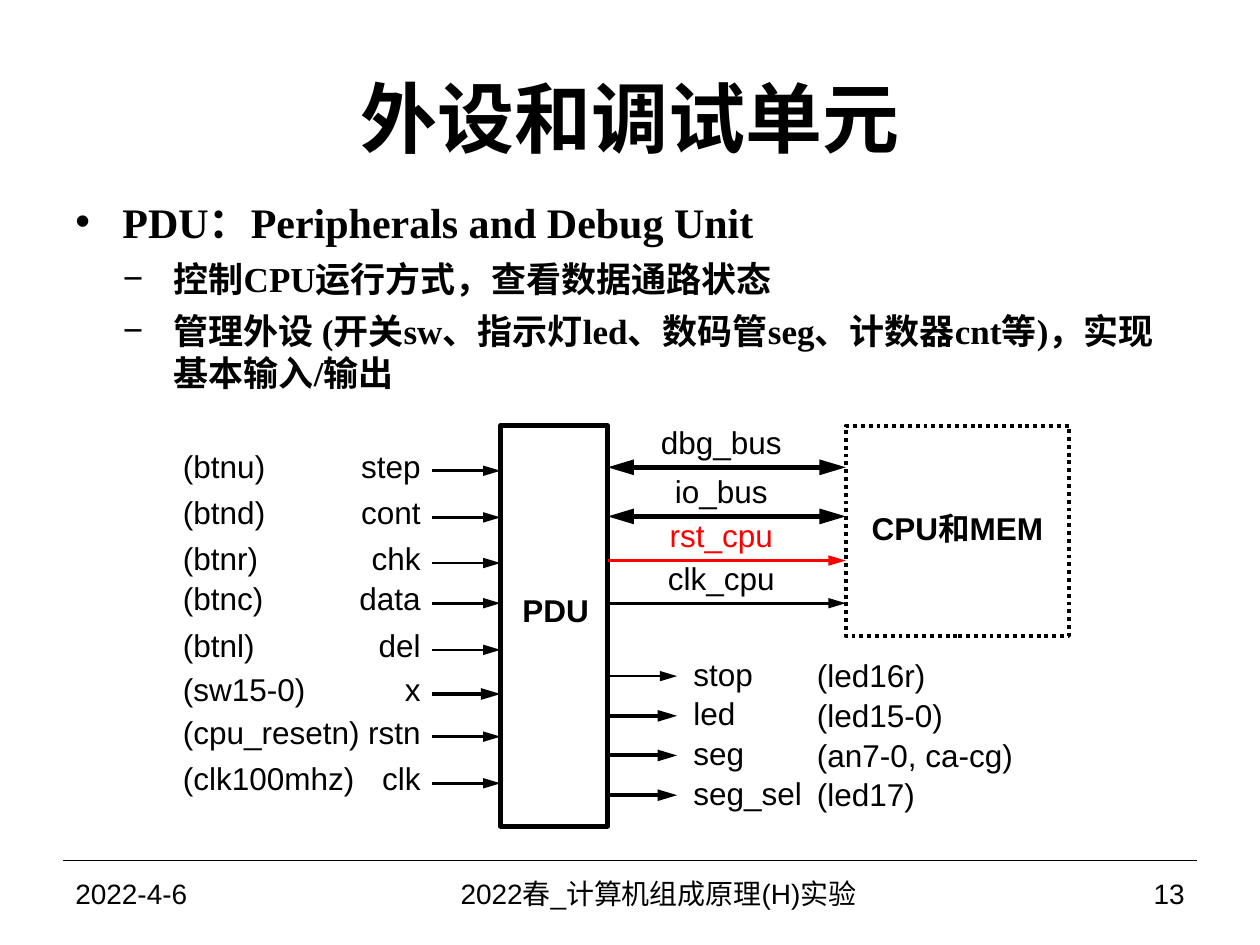
from lxml.etree import SubElement
from pptx import Presentation
from pptx.dml.color import RGBColor
from pptx.enum.dml import MSO_LINE
from pptx.enum.shapes import MSO_CONNECTOR, MSO_SHAPE
from pptx.enum.text import MSO_ANCHOR, PP_ALIGN
from pptx.oxml.ns import qn
from pptx.util import Cm, Pt

COLORS = {"ink": "000000", "reset": "FF0000"}
LABEL_HEIGHT = 0.76
PDU_WIDTH = 2.16

# Input ports: pin, pin width, signal, signal width, arrow height, line width
INPUTS = [
    ("(btnu)", 1.68, "step", 1.22, 0.91, 1.5),
    ("(btnd)", 1.68, "cont", 1.22, 1.85, 1.5),
    ("(btnr)", 1.52, "chk", 0.99, 2.77, 1.5),
    ("(btnc)", 1.63, "data", 1.24, 3.58, 1.5),
    ("(btnl)", 1.45, "del", 0.86, 4.52, 1.5),
    ("(sw15-0)", 2.57, "x", 0.33, 5.41, 2.25),
    ("(cpu_resetn)", 3.61, "rstn", 1.07, 6.27, 1.5),
    ("(clk100mhz)", 3.51, "clk", 0.79, 7.21, 1.5),
]
# Output ports: signal, signal width, pin, pin width, line width
OUTPUTS = [
    ("stop", 1.22, "(led16r)", 2.3, 1.5),
    ("led", 0.86, "(led15-0)", 2.7, 2.25),
    ("seg", 1.04, "(an7-0, ca-cg)", 4.2, 2.25),
    ("seg_sel", 2.21, "(led17)", 2.1, 2.25),
]
# Buses: name, label width, arrow height, line width, both ways, colour
BUSES = [
    ("dbg_bus", 2.46, 0.84, 3, True, "ink"),
    ("io_bus", 1.88, 1.83, 3, True, "ink"),
    ("rst_cpu", 2.11, 2.72, 1.5, False, "reset"),
    ("clk_cpu", 2.18, 3.58, 1.5, False, "ink"),
]


def rgb(color):
    return RGBColor.from_string(COLORS[color])


def format_runs(paragraph, size, bold=False, font="Arial", color="ink"):
    for run in paragraph.runs:
        run.font.name = font
        run.font.size = Pt(size)
        run.font.bold = bold
        run.font.color.rgb = rgb(color)


def clear_insets(text_frame):
    text_frame.margin_left = text_frame.margin_right = 0
    text_frame.margin_top = text_frame.margin_bottom = 0


def add_text(slide, text, left, top, width, height, size,
             align=PP_ALIGN.LEFT, bold=False, color="ink"):
    shape = slide.shapes.add_textbox(Cm(left), Cm(top), Cm(width), Cm(height))
    text_frame = shape.text_frame
    text_frame.text = text
    text_frame.word_wrap = True
    text_frame.vertical_anchor = MSO_ANCHOR.MIDDLE
    paragraph = text_frame.paragraphs[0]
    paragraph.alignment = align
    format_runs(paragraph, size, bold, color=color)
    return shape


def add_label(slide, text, left, middle, width, align=PP_ALIGN.LEFT,
              bold=False, color="ink"):
    shape = add_text(slide, text, left, middle - LABEL_HEIGHT / 2, width,
                     LABEL_HEIGHT, 18, align, bold, color)
    shape.text_frame.word_wrap = False
    clear_insets(shape.text_frame)


def add_line(slide, start, end, top, width, color="ink", ends=()):
    line = slide.shapes.add_connector(
        MSO_CONNECTOR.STRAIGHT, Cm(start), Cm(top), Cm(end), Cm(top))
    line.line.color.rgb = rgb(color)
    line.line.width = Pt(width)
    outline = line.line._get_or_add_ln()
    for end_name in ends:
        SubElement(outline, qn(f"a:{end_name}"), type="triangle", w="med", len="lg")
    SubElement(line._element.spPr, qn("a:effectLst"))


def add_block(slide, left, top, width, height, line_width):
    block = slide.shapes.add_shape(
        MSO_SHAPE.RECTANGLE, Cm(left), Cm(top), Cm(width), Cm(height))
    block.shadow.inherit = False
    block.fill.background()
    block.line.color.rgb = rgb("ink")
    block.line.width = Pt(line_width)
    return block


def add_title(slide, left, top, width, height):
    add_text(slide, "外设和调试单元", left, top, width, height, 44,
             PP_ALIGN.CENTER, True)


def add_body(slide, left, top, width, height):
    # Text, level, size, left margin, hanging indent, bullet
    items = [
        ("PDU：Peripherals and Debug Unit", 0, 24, 0.95, 0.95, "•"),
        ("控制CPU运行方式，查看数据通路状态", 1, 20, 1.98, 1.02, "−"),
        ("管理外设 (开关sw、指示灯led、数码管seg、计数器cnt等)，实现基本输入/输出",
         1, 20, 1.98, 1.02, "−"),
    ]
    shape = slide.shapes.add_textbox(Cm(left), Cm(top), Cm(width), Cm(height))
    text_frame = shape.text_frame
    text_frame.word_wrap = True
    text_frame.text = "\n".join(item[0] for item in items)
    for paragraph, item in zip(text_frame.paragraphs, items):
        _, level, size, margin, hanging, bullet = item
        paragraph.level = level
        paragraph.space_before = Pt(6)
        properties = paragraph._p.get_or_add_pPr()
        properties.set("marL", str(Cm(margin)))
        properties.set("indent", str(-Cm(hanging)))
        SubElement(properties, qn("a:buFont"), typeface="Arial")
        SubElement(properties, qn("a:buChar"), char=bullet)
        format_runs(paragraph, size, True, "Times New Roman")


def add_inputs(slide, left, top, width):
    arrow_start = left + width - 1.39
    for pin, pin_width, signal, signal_width, offset, line_width in INPUTS:
        middle = top + offset
        add_label(slide, pin, left, middle - 0.1, pin_width)
        add_label(slide, signal, arrow_start - 0.22 - signal_width,
                  middle - 0.1, signal_width, PP_ALIGN.RIGHT)
        add_line(slide, arrow_start, left + width, middle, line_width,
                 ends=["tailEnd"])


def add_pdu(slide, left, top, width, height):
    add_block(slide, left, top, width, height, 2.5)
    add_label(slide, "PDU", left + 0.43, top + 3.71, 1.36, PP_ALIGN.CENTER, True)


def add_buses(slide, left, top, width):
    for name, label_width, offset, line_width, both_ways, color in BUSES:
        middle = top + offset
        add_label(slide, name, left + 2.29 - label_width / 2, middle - 0.51,
                  label_width, PP_ALIGN.CENTER, color=color)
        ends = ["headEnd", "tailEnd"] if both_ways else ["tailEnd"]
        add_line(slide, left, left + width, middle, line_width, color, ends)


def add_cpu(slide, left, top, width, height):
    block = add_block(slide, left, top, width, height, 2.25)
    block.line.dash_style = MSO_LINE.ROUND_DOT
    text_frame = block.text_frame
    text_frame.text = "CPU和MEM"
    text_frame.word_wrap = False
    text_frame.vertical_anchor = MSO_ANCHOR.MIDDLE
    clear_insets(text_frame)
    paragraph = text_frame.paragraphs[0]
    paragraph.alignment = PP_ALIGN.CENTER
    paragraph.line_spacing = Pt(18)
    format_runs(paragraph, 18, True)


def add_outputs(slide, left, top, pitch):
    for row, (signal, signal_width, pin, pin_width, line_width) in enumerate(OUTPUTS):
        middle = top + row * pitch
        add_line(slide, left, left + 1.4, middle, line_width, ends=["tailEnd"])
        add_label(slide, signal, left + 1.73, middle - 0.05, signal_width)
        add_label(slide, pin, left + 4.22, middle - 0.02, pin_width)


def add_footer(slide, left, top, width, height):
    add_line(slide, left, left + width, top, 0.75)
    add_text(slide, "2022-4-6", left, top, 5.92, height, 16)
    add_text(slide, "2022春_计算机组成原理(H)实验", left + 5.87, top, 12.27,
             height, 16, PP_ALIGN.CENTER)
    add_text(slide, "13", left + width - 4.65, top, 4.65, height, 16, PP_ALIGN.RIGHT)


def main():
    presentation = Presentation()
    presentation.slide_width, presentation.slide_height = Cm(25.4), Cm(19.05)
    slide = presentation.slides.add_slide(presentation.slide_layouts[6])

    add_title(slide, 1.27, 0.76, 22.86, 3.18)
    add_body(slide, 1.27, 3.83, 22.63, 4.52)

    # Block diagram: everything hangs from one top edge
    top, pdu_left, cpu_left = 8.58, 10.09, 17.05
    input_left = 3.69
    pdu_right = pdu_left + PDU_WIDTH
    add_inputs(slide, input_left, top, pdu_left - input_left)
    add_pdu(slide, pdu_left, top, PDU_WIDTH, 8.08)
    add_buses(slide, pdu_right, top, cpu_left - pdu_right)
    add_cpu(slide, cpu_left, top, 4.5, 4.24)
    add_outputs(slide, pdu_right, top + 5.05, 0.8)

    add_footer(slide, 1.27, 17.35, 22.86, 1.32)
    presentation.save("out.pptx")


if __name__ == "__main__":
    main()
